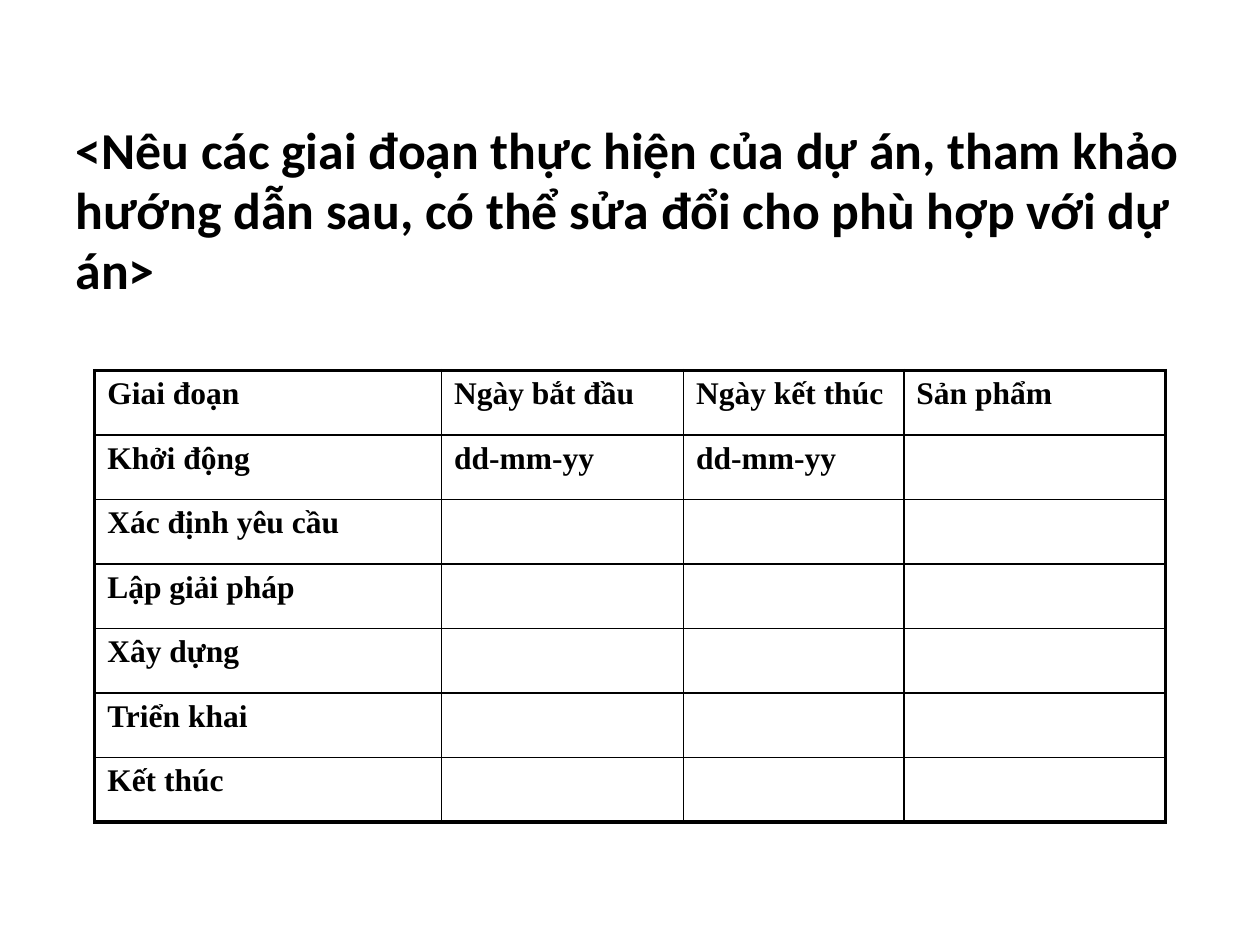
from lxml.etree import SubElement
from pptx import Presentation
from pptx.dml.color import RGBColor
from pptx.enum.text import MSO_ANCHOR, MSO_AUTO_SIZE, PP_ALIGN
from pptx.oxml.ns import qn
from pptx.util import Cm, Pt

# Content
HEADING = ("<Nêu các giai đoạn thực hiện của dự án, tham khảo hướng dẫn sau, "
           "có thể sửa đổi cho phù hợp với dự án>")
COLUMNS = ["Giai đoạn", "Ngày bắt đầu", "Ngày kết thúc", "Sản phẩm"]
DATE_FORMAT = "dd-mm-yy"
PHASES = [
    ("Khởi động", DATE_FORMAT, DATE_FORMAT, ""),
    ("Xác định yêu cầu", "", "", ""),
    ("Lập giải pháp", "", "", ""),
    ("Xây dựng", "", "", ""),
    ("Triển khai", "", "", ""),
    ("Kết thúc", "", "", ""),
]

# Measures and colours
BLACK = "000000"
COLUMN_WIDTHS = [6.99, 4.88, 4.44, 5.28]
ROW_HEIGHT = 1.3
OUTER_LINE, INNER_LINE = Pt(2.25), Pt(1)


def color(hex_value):
    return RGBColor.from_string(hex_value)


def add_bold_run(paragraph, text, font_name, size):
    run = paragraph.add_run()
    run.text = text
    run.font.name = font_name
    run.font.size = Pt(size)
    run.font.bold = True
    run.font.color.rgb = color(BLACK)


def add_border(cell, side, width):
    line = SubElement(cell._tc.get_or_add_tcPr(), qn(f"a:ln{side}"), w=str(width))
    fill = SubElement(line, qn("a:solidFill"))
    SubElement(fill, qn("a:srgbClr"), val=BLACK)


def add_heading(slide):
    heading = slide.shapes.title
    heading.left, heading.top = Cm(1.27), Cm(2.31)
    heading.width, heading.height = Cm(22.86), Cm(3.45)
    frame = heading.text_frame
    frame.word_wrap = True
    frame.auto_size = MSO_AUTO_SIZE.NONE
    frame.vertical_anchor = MSO_ANCHOR.TOP
    paragraph = frame.paragraphs[0]
    paragraph.alignment = PP_ALIGN.LEFT
    paragraph.line_spacing = 0.97
    paragraph.space_before = Pt(4)
    add_bold_run(paragraph, HEADING, "Calibri", 29.6)


def add_schedule(slide):
    rows = [COLUMNS, *PHASES]
    last_row, last_column = len(rows) - 1, len(COLUMNS) - 1
    schedule = slide.shapes.add_table(
        len(rows), len(COLUMNS), Cm(1.91), Cm(7.47),
        Cm(sum(COLUMN_WIDTHS)), Cm(ROW_HEIGHT * len(rows))).table
    schedule.first_row = schedule.horz_banding = False
    for column, width in zip(schedule.columns, COLUMN_WIDTHS):
        column.width = Cm(width)
    for row in schedule.rows:
        row.height = Cm(ROW_HEIGHT)

    for r, texts in enumerate(rows):
        for c, text in enumerate(texts):
            cell = schedule.cell(r, c)
            # Heavy frame around the table, thin lines inside
            on_edge = {"L": c == 0, "R": c == last_column,
                       "T": r == 0, "B": r == last_row}
            for side, outer in on_edge.items():
                add_border(cell, side, OUTER_LINE if outer else INNER_LINE)
            cell.fill.background()
            if text:
                add_bold_run(cell.text_frame.paragraphs[0], text,
                             "Times New Roman", 18)


def main():
    presentation = Presentation()
    presentation.slide_width, presentation.slide_height = Cm(25.4), Cm(19.05)
    title_only = presentation.slide_layouts[5]
    slide = presentation.slides.add_slide(title_only)
    add_heading(slide)
    add_schedule(slide)
    presentation.save("out.pptx")


if __name__ == "__main__":
    main()
